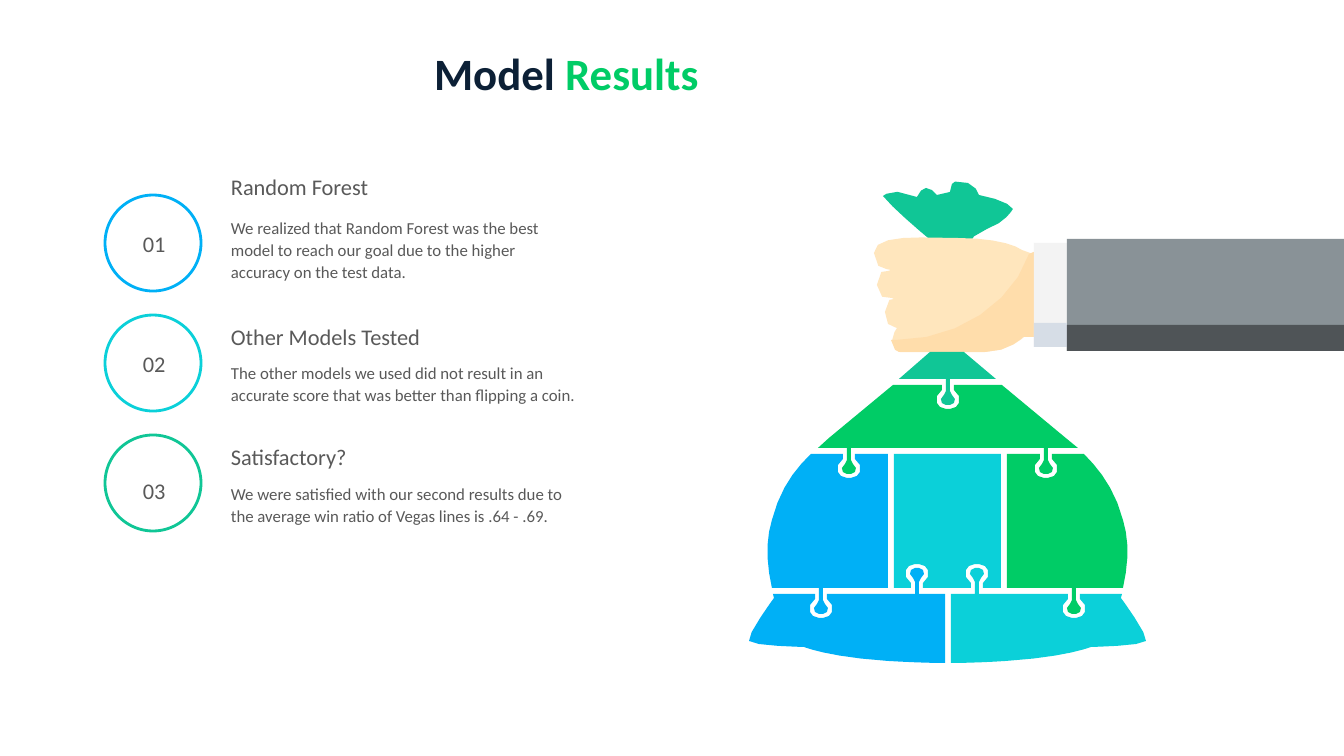
from math import dist

from pptx import Presentation
from pptx.dml.color import RGBColor
from pptx.enum.shapes import MSO_SHAPE
from pptx.enum.text import MSO_ANCHOR, MSO_AUTO_SIZE, PP_ALIGN
from pptx.util import Pt

PX = 914400 / 100.8
NAVY = RGBColor(0x0C, 0x20, 0x36)
GRAY = RGBColor(0x59, 0x59, 0x59)
WHITE = RGBColor(0xFF, 0xFF, 0xFF)
GREEN = RGBColor(0x00, 0xCC, 0x66)
BLUE = RGBColor(0x00, 0xB0, 0xF6)
CYAN = RGBColor(0x0B, 0xD0, 0xD9)
TEAL = RGBColor(0x10, 0xC6, 0x96)
SKIN = RGBColor(0xFF, 0xE6, 0xBD)
SKIN_SHADE = RGBColor(0xFF, 0xDD, 0xAB)
CUFF = RGBColor(0xF3, 0xF3, 0xF3)
CUFF_SHADE = RGBColor(0xD6, 0xDD, 0xE6)
SLEEVE = RGBColor(0x89, 0x92, 0x97)
SLEEVE_SHADE = RGBColor(0x4F, 0x54, 0x57)

# Left halves of the puzzle knobs, from the seam to the tip
TAB = [(-2, 0), (-2, 12), (-4, 16), (-7, 20), (-6, 24), (-2, 26)]
SOCKET = [(-6, 0), (-6, 5), (-11, 11), (-11, 18), (-8, 22), (-2, 24)]


def knob(half, x, y, across=1, down=1):
    """Place a puzzle knob at (x, y); -1 mirrors it across or upward."""
    profile = half + [(-dx, dy) for dx, dy in reversed(half)]
    return [(x + across * dx, y + down * dy) for dx, dy in profile]


def add_text(left, top, width, height, text, size, wrap):
    box = slide.shapes.add_textbox(*(round(n * PX) for n in (left, top, width, height)))
    box.text_frame.word_wrap = wrap
    box.text_frame.auto_size = MSO_AUTO_SIZE.SHAPE_TO_FIT_TEXT
    para = box.text_frame.paragraphs[0]
    span = para.add_run()
    span.text = text
    for name, value in {"name": "Calibri", "size": Pt(size)}.items():
        setattr(span.font, name, value)
    span.font.color.rgb = GRAY
    return para


deck = Presentation()
deck.slide_width, deck.slide_height = round(1344 * PX), round(756 * PX)
slide = deck.slides.add_slide(deck.slide_layouts[5])

# Title
title = slide.shapes.title
for name, value in {"left": 424, "top": 41, "width": 534, "height": 65}.items():
    setattr(title, name, round(value * PX))
for name, value in {"word_wrap": True, "auto_size": MSO_AUTO_SIZE.NONE,
                    "vertical_anchor": MSO_ANCHOR.TOP}.items():
    setattr(title.text_frame, name, value)
title_para = title.text_frame.paragraphs[0]
title_para.alignment = PP_ALIGN.LEFT
for word, color in (("Model ", NAVY), ("Results", GREEN)):
    span = title_para.add_run()
    span.text = word
    for name, value in {"name": "Calibri", "size": Pt(32), "bold": True}.items():
        setattr(span.font, name, value)
    span.font.color.rgb = color

# Money bag held by a hand: two numbers are a corner, six are a cubic curve
sack_top = [
    (1013, 209), (1011, 204, 996, 198, 979, 195), (978, 191, 975, 186, 968, 183),
    (955, 178, 952, 184, 952, 184), (950, 192), (937, 195),
    (934, 191, 930, 188, 926, 188), (922, 188, 920, 192, 917, 197),
    (893, 186, 883, 196, 883, 196), (895, 211, 933, 242, 933, 242), (971, 244),
    (971, 244, 967, 237, 987, 229), (1001, 224, 1008, 216, 1011, 212)]
hand = [
    (1034, 252), (1034, 337), (1024, 337), (1024, 337, 1009, 352, 985, 352), (900, 352),
    (900, 352, 892, 350, 892, 341), (892, 332, 897, 331, 897, 328),
    (897, 325, 885, 331, 885, 312), (885, 295, 894, 301, 894, 299), (892, 298),
    (886, 298, 877, 299, 877, 285), (877, 270, 885, 270, 888, 271), (891, 270),
    (891, 268, 874, 273, 874, 253), (874, 233, 924, 238, 958, 238),
    (991, 238, 1014, 244, 1022, 250), (1030, 256, 1034, 252, 1034, 252)]
hand_shade = [
    (1034, 252), (1029, 254), (1013, 302, 959, 340, 896, 340), (891, 340),
    (891, 350, 899, 352, 899, 352), (985, 352),
    (1009, 352, 1023, 337, 1023, 337), (1034, 337)]
neck = [(899, 379), *knob(TAB, 948, 379), (996, 379), (964, 352), (930, 352)]
shoulder = [
    (893, 385), *knob(SOCKET, 948, 385), (1002, 385), (1067, 439), (1078, 448),
    *knob(TAB, 1046, 448, -1), *knob(TAB, 849, 448, -1), (818, 448), (829, 438)]
right_side = [
    (1007, 454), *knob(SOCKET, 1046, 454), (1084, 454),
    (1099, 469, 1115, 489, 1123, 520), (1129, 539, 1129, 562, 1123, 588),
    *knob(TAB, 1074, 588, -1), (1007, 588)]
left_side = [
    (811, 454), *knob(SOCKET, 849, 454), (888, 454), (888, 588),
    *knob(TAB, 821, 588, -1), (772, 588),
    (766, 562, 766, 539, 772, 520), (780, 489, 795, 469, 811, 454)]
middle = [
    (894, 454), (1001, 454), (1001, 588), *knob(SOCKET, 977, 588, -1, -1),
    *knob(SOCKET, 917, 588, -1, -1), (894, 588)]
bottom_right = [
    (951, 594), *knob(TAB, 977, 594, 1, -1), *knob(SOCKET, 1074, 594), (1122, 594),
    (1121, 598), (1121, 598, 1149, 636, 1146, 641), (1143, 646, 1091, 647, 1091, 647),
    (1091, 647, 1067, 657, 1006, 661), (990, 662, 970, 663, 951, 663)]
bottom_left = [
    (773, 594), *knob(SOCKET, 821, 594), *knob(TAB, 917, 594, 1, -1), (945, 594),
    (945, 663), (925, 663, 907, 662, 888, 661), (828, 657, 804, 647, 804, 647),
    (804, 647, 752, 646, 749, 641), (746, 636, 774, 598, 774, 598)]

for outline, color in (
        (sack_top, TEAL), (hand, SKIN), (hand_shade, SKIN_SHADE), (neck, TEAL),
        (shoulder, GREEN), (right_side, GREEN), (left_side, BLUE), (middle, CYAN),
        (bottom_right, CYAN), (bottom_left, BLUE)):
    points = []
    for step in outline:
        if len(step) == 2:
            points.append(step)
            continue
        start = points[-1]
        pieces = min(6, 2 + int(dist(start, step[4:]) / 20))
        for index in range(1, pieces + 1):
            t = index / pieces
            points.append(tuple(
                (1 - t) ** 3 * start[axis] + 3 * (1 - t) ** 2 * t * step[axis]
                + 3 * (1 - t) * t ** 2 * step[2 + axis] + t ** 3 * step[4 + axis]
                for axis in (0, 1)))
    corners = [(x * PX, y * PX) for x, y in points]
    builder = slide.shapes.build_freeform(*corners[0])
    builder.add_line_segments(corners[1:], close=True)
    piece = builder.convert_to_shape()
    piece.shadow.inherit = False
    piece.fill.solid()
    piece.fill.fore_color.rgb = color
    piece.line.fill.background()

# Arm and number rings
for kind, left, top, width, height, fill, line in (
        (MSO_SHAPE.RECTANGLE, 1034, 243, 33, 104, CUFF, None),
        (MSO_SHAPE.RECTANGLE, 1067, 239, 277, 112, SLEEVE, None),
        (MSO_SHAPE.RECTANGLE, 1034, 323, 33, 24, CUFF_SHADE, None),
        (MSO_SHAPE.RECTANGLE, 1067, 325, 277, 26, SLEEVE_SHADE, None),
        (MSO_SHAPE.OVAL, 105, 195, 96, 96, WHITE, BLUE),
        (MSO_SHAPE.OVAL, 105, 315, 96, 96, WHITE, CYAN),
        (MSO_SHAPE.OVAL, 105, 435, 96, 96, WHITE, TEAL)):
    shape = slide.shapes.add_shape(kind, *(round(n * PX) for n in (left, top, width, height)))
    shape.shadow.inherit = False
    shape.fill.solid()
    shape.fill.fore_color.rgb = fill
    if line is None:
        shape.line.fill.background()
    else:
        shape.line.color.rgb = line
        shape.line.width = Pt(2)

# Findings
for number, number_top, heading, heading_top, heading_width, body, body_top, body_height in (
        ("01", 225, "Random Forest", 168, 159,
         "We realized that Random Forest was the best model to reach our goal due to "
         "the higher accuracy on the test data.", 211, 77),
        ("02", 345, "Other Models Tested", 318, 212,
         "The other models we used did not result in an accurate score that was "
         "better than flipping a coin.", 356, 53),
        ("03", 472, "Satisfactory?", 438, 138,
         "We were satisfied with our second results due to the average win ratio of "
         "Vegas lines is .64 - .69.", 477, 53)):
    add_text(133, number_top, 43, 37, number, 16, False)
    add_text(221, heading_top, heading_width, 37, heading, 16, False)
    add_text(221, body_top, 366, body_height, body, 12, True).line_spacing = 1.1

deck.save("out.pptx")
